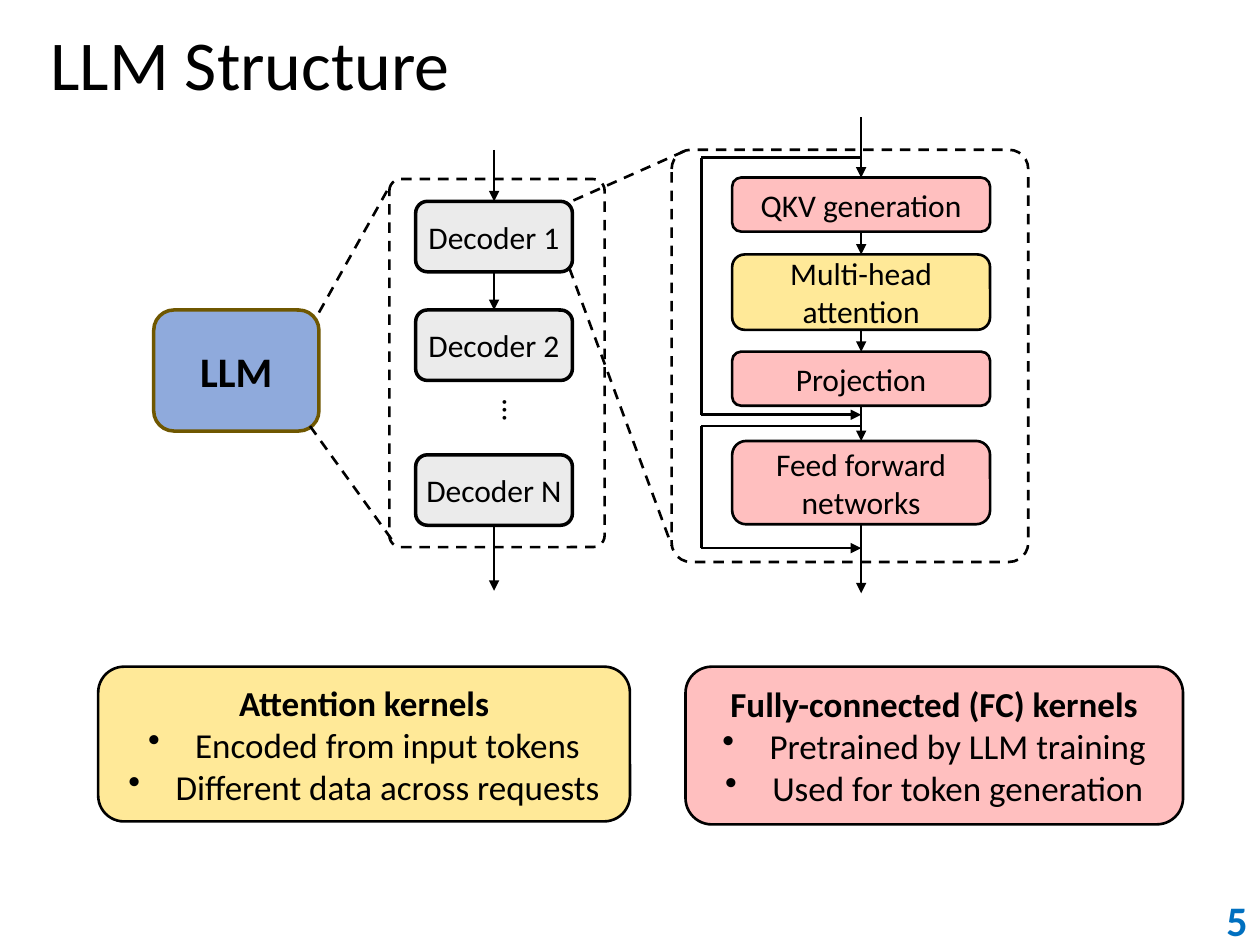
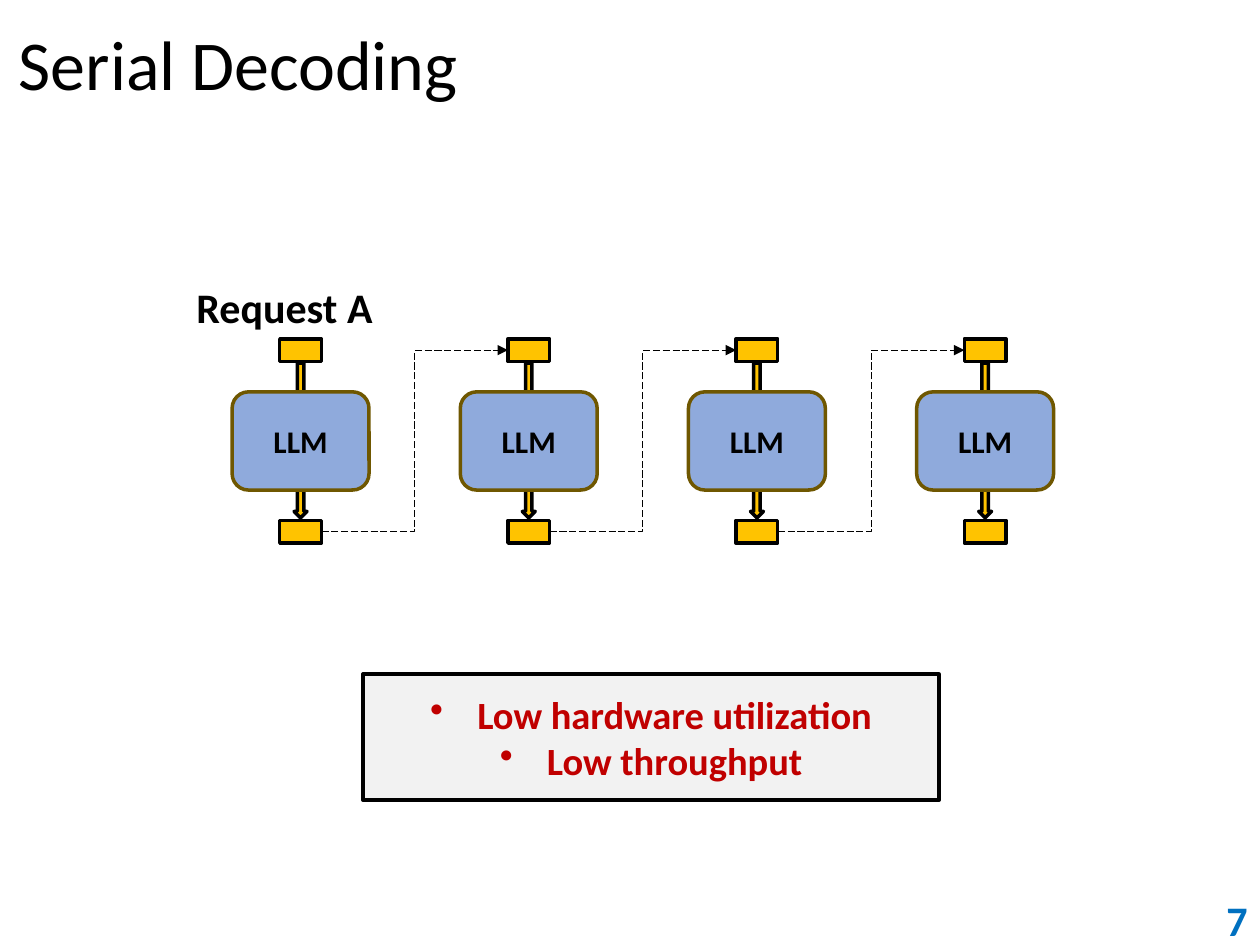
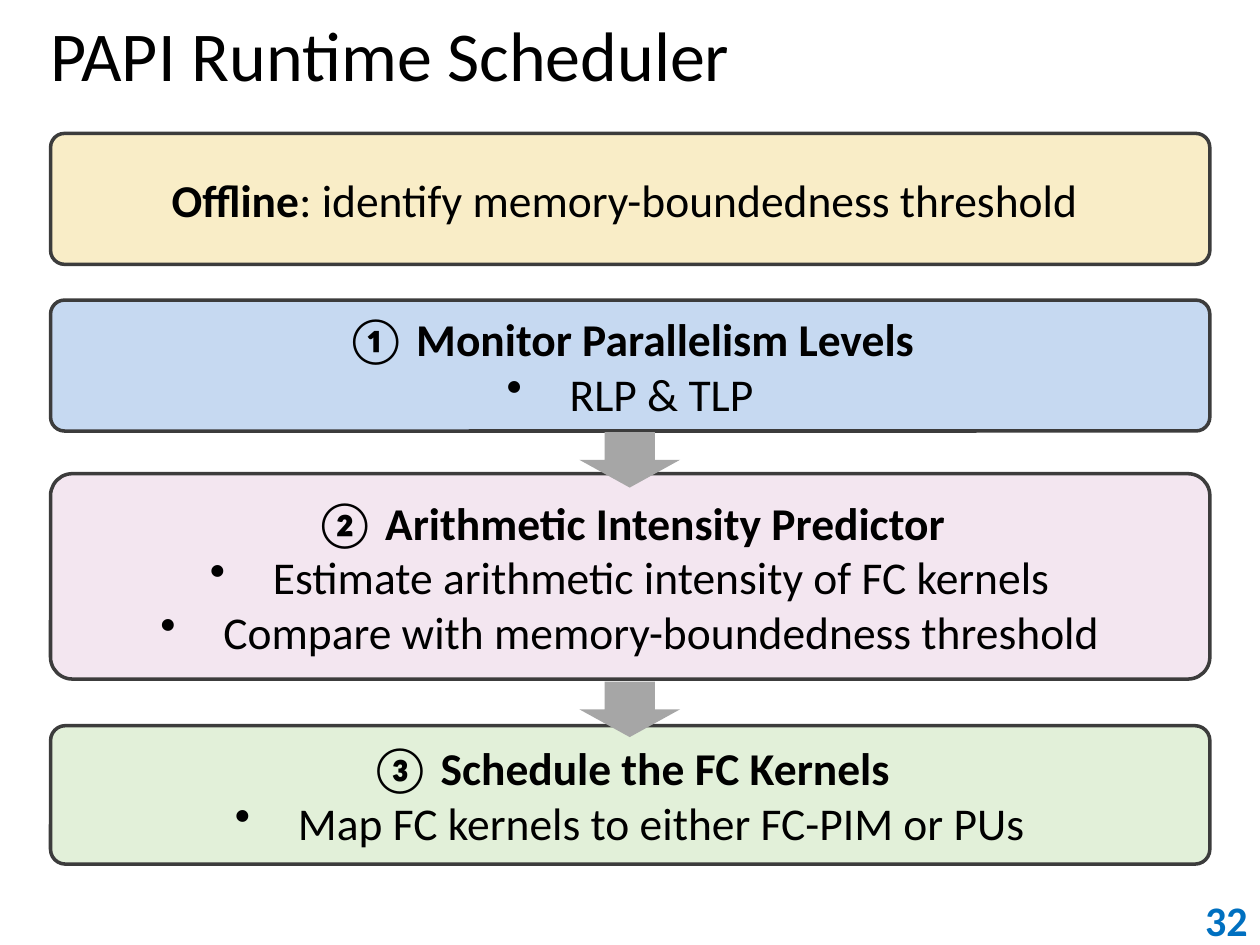
from dataclasses import dataclass
from itertools import pairwise

from lxml.etree import SubElement
from pptx import Presentation
from pptx.dml.color import RGBColor
from pptx.enum.dml import MSO_LINE
from pptx.enum.shapes import MSO_CONNECTOR, MSO_SHAPE
from pptx.enum.text import MSO_ANCHOR, PP_ALIGN
from pptx.oxml.ns import qn
from pptx.shapes.autoshape import Shape
from pptx.util import Cm, Pt


@dataclass(frozen=True)
class Theme:
    font: str = "Calibri"
    ink: str = "000000"
    number: str = "0070C0"
    warning: str = "C00000"
    warning_fill: str = "F2F2F2"
    model: str = "8FAADC"
    model_edge: str = "6F5700"
    attention: str = "FFE998"
    connected: str = "FFBFBF"
    decoder: str = "D9D9D9"
    token: str = "FFC300"
    step_edge: str = "3C3C3C"
    step_arrow: str = "A6A6A6"
    offline: str = "F9EDC7"
    monitor: str = "C6D9F1"
    predictor: str = "F3E6F0"
    schedule: str = "E2F0D9"
    title_size: int = 40
    step_size: int = 26
    label_size: int = 24
    warning_size: int = 22
    kernel_size: int = 20
    block_size: int = 18


THEME = Theme()


@dataclass(frozen=True)
class Line:
    """One paragraph; lead is a bold opening, indent (cm) makes it a bullet."""
    text: str
    bold: bool = False
    indent: float = 0
    lead: str = ""


def bullets(indent, *texts, bold=False):
    return [Line(text, bold, indent) for text in texts]


def write(frame, lines, size, color=THEME.ink, align=PP_ALIGN.CENTER):
    frame.word_wrap = True
    for index, line in enumerate(lines):
        paragraph = frame.add_paragraph() if index else frame.paragraphs[0]
        paragraph.alignment = align
        if line.indent:
            properties = paragraph._p.get_or_add_pPr()
            properties.set("marL", str(Cm(line.indent)))
            properties.set("indent", str(-Cm(line.indent)))
            SubElement(properties, qn("a:buChar")).set("char", "•")
        font = paragraph.font
        font.name, font.size = THEME.font, Pt(size)
        font.color.rgb = RGBColor.from_string(color)
        if line.lead:
            lead = paragraph.add_run()
            lead.text, lead.font.bold = line.lead, True
        else:
            font.bold = line.bold
        paragraph.add_run().text = line.text


def text_box(slide, box, lines, size, color=THEME.ink, align=PP_ALIGN.LEFT,
             anchor=MSO_ANCHOR.TOP):
    frame = slide.shapes.add_textbox(*map(Cm, box)).text_frame
    frame.vertical_anchor = anchor
    write(frame, lines, size, color, align)
    return frame


def stroke(line, color, width, dash=None):
    line.color.rgb = RGBColor.from_string(color)
    line.width = Pt(width)
    if dash:
        line.dash_style = dash


def block(slide, box, fill=None, edge=THEME.ink, width=2, kind=MSO_SHAPE.ROUNDED_RECTANGLE,
          radius=None, dash=None):
    """Draw a preset shape; without fill or edge that part stays empty."""
    shape = slide.shapes.add_shape(kind, *map(Cm, box))
    shape.shadow.inherit = False
    if radius:
        shape.adjustments[0] = radius
    if fill:
        shape.fill.solid()
        shape.fill.fore_color.rgb = RGBColor.from_string(fill)
    else:
        shape.fill.background()
    if edge:
        stroke(shape.line, edge, width, dash)
    else:
        shape.line.fill.background()
    return shape


def labelled(slide, box, lines, size, fill, color=THEME.ink, **style):
    shape = block(slide, box, fill, **style)
    frame = shape.text_frame
    frame.margin_left = frame.margin_right = frame.margin_top = frame.margin_bottom = 0
    write(frame, lines, size, color)
    return shape


def model(slide, box, size):
    return labelled(slide, box, [Line("LLM", True)], size, THEME.model, edge=THEME.model_edge)


def halve_opacity(shape):
    color = shape.element.spPr.find(qn("a:solidFill")).find(qn("a:srgbClr"))
    SubElement(color, qn("a:alpha")).set("val", "50000")


def connect(slide, start, end, width=1.5, arrow=False, dash=None,
            kind=MSO_CONNECTOR.STRAIGHT):
    connector = slide.shapes.add_connector(kind, *map(Cm, (*start, *end)))
    stroke(connector.line, THEME.ink, width, dash)
    properties = connector.element.spPr
    if arrow:
        SubElement(properties.find(qn("a:ln")), qn("a:tailEnd")).set("type", "triangle")
    SubElement(properties, qn("a:effectLst"))
    return connector


def flow(slide, x, stops, width):
    """Draw arrows down through stops, each a shape or a height in cm."""
    for upper, lower in pairwise(stops):
        top, bottom = (stop.top.cm if isinstance(stop, Shape) else stop
                       for stop in (upper, lower))
        arrow = connect(slide, (x, top), (x, bottom), width, arrow=True)
        if isinstance(upper, Shape):
            arrow.begin_connect(upper, 2)
        if isinstance(lower, Shape):
            arrow.end_connect(lower, 0)


def bypass(slide, outer, inner, top, bottom):
    """Draw a residual path that leaves the flow at top and rejoins it at bottom."""
    connect(slide, (inner, top), (outer, top))
    connect(slide, (outer, top), (outer, bottom))
    connect(slide, (outer, bottom), (inner, bottom), arrow=True)


def new_slide(deck, title, number, left=0, top=0, width=25.4):
    slide = deck.slides.add_slide(deck.slide_layouts[6])
    heading = text_box(slide, (left, top, width, 2.54), [Line(title)], THEME.title_size,
                       anchor=MSO_ANCHOR.MIDDLE)
    heading.margin_left = Cm(1.02)
    text_box(slide, (20.32, 18.03, 5.08, 1.02), [Line(str(number), True)], THEME.label_size,
             THEME.number, PP_ALIGN.RIGHT, MSO_ANCHOR.MIDDLE)
    return slide


def structure_slide(deck):
    slide = new_slide(deck, "LLM Structure", 5)
    model(slide, (3.1, 6.25, 3.33, 2.44), THEME.label_size)

    kernel_x = 17.36
    kernels = [
        labelled(slide, (14.76, top, 5.2, height), [Line(text) for text in texts],
                 THEME.block_size, fill, width=1.5)
        for top, height, fill, texts in [
            (3.58, 1.09, THEME.connected, ["QKV generation"]),
            (5.13, 1.52, THEME.attention, ["Multi-head attention"]),
            (7.09, 1.09, THEME.connected, ["Projection"]),
            (8.89, 1.68, THEME.connected, ["Feed forward", "networks"]),
        ]
    ]
    flow(slide, kernel_x, [2.36, *kernels, 11.96], 1.5)
    for top, bottom in [(3.18, 8.36), (8.59, 11.05)]:
        bypass(slide, 14.14, kernel_x, top, bottom)

    for frame in [(13.54, 3.02, 7.19, 8.31), (7.85, 3.61, 4.34, 7.42)]:
        block(slide, frame, width=1.5, radius=0.054, dash=MSO_LINE.DASH)

    decoder_x = 9.96
    decoders = []
    for name, top in [("1", 4.06), ("2", 6.25), ("N", 9.17)]:
        decoder = labelled(slide, (8.38, top, 3.16, 1.42), [Line(f"Decoder {name}")],
                           THEME.block_size, THEME.decoder)
        halve_opacity(decoder)
        decoders.append(decoder)
    first, second, last = decoders
    flow(slide, decoder_x, [3.02, first, second], 0.75)
    flow(slide, decoder_x, [last, 11.91], 0.75)
    ellipsis = text_box(slide, (9.63, 7.8, 1.27, 1.42), [Line("…")], THEME.block_size,
                        align=PP_ALIGN.CENTER)
    ellipsis._txBody.bodyPr.set("vert", "eaVert")

    for start, end in [((11.56, 4.04), (13.79, 3.05)), ((11.48, 5.41), (13.54, 11.0)),
                       ((6.43, 6.3), (7.85, 3.76)), ((6.25, 8.59), (7.95, 10.95))]:
        connect(slide, start, end, dash=MSO_LINE.DASH)

    for box, fill, name, facts in [
        ((13.82, 13.44, 10.03, 3.18), THEME.connected, "Fully-connected (FC) kernels",
         ["Pretrained by LLM training", "Used for token generation"]),
        ((1.98, 13.44, 10.72, 3.12), THEME.attention, "Attention kernels",
         ["Encoded from input tokens", "Different data across requests"]),
    ]:
        labelled(slide, box, [Line(name, True), *bullets(0.95, *facts)],
                 THEME.kernel_size, fill, width=1.5)


def decoding_stage(slide, center):
    """Draw one model pass and return its input and output tokens."""
    block(slide, (center - 0.13, 7.32, 0.26, 3.12), THEME.token, kind=MSO_SHAPE.DOWN_ARROW)
    model(slide, (center - 1.38, 7.9, 2.76, 1.98), THEME.block_size)
    return [block(slide, (center - 0.42, top, 0.84, 0.46), THEME.token,
                  kind=MSO_SHAPE.RECTANGLE) for top in (6.83, 10.49)]


def decoding_slide(deck):
    slide = new_slide(deck, "Serial Decoding", 7, left=-0.64, width=27.5)
    stages = [decoding_stage(slide, 6.06 + 4.6 * index) for index in range(4)]
    for (_, produced), (consumed, _) in pairwise(stages):
        feedback = connect(slide, (produced.left.cm, produced.top.cm),
                           (consumed.left.cm, consumed.top.cm), 0.5, arrow=True,
                           dash=MSO_LINE.LONG_DASH, kind=MSO_CONNECTOR.ELBOW)
        feedback.begin_connect(produced, 3)
        feedback.end_connect(consumed, 1)
    text_box(slide, (3.71, 5.56, 4.67, 1.27), [Line("Request A", True)], THEME.label_size)
    labelled(slide, (7.32, 13.59, 11.61, 2.54),
             bullets(0.95, "Low hardware utilization", "Low throughput", bold=True),
             THEME.warning_size, THEME.warning_fill, THEME.warning, kind=MSO_SHAPE.RECTANGLE)


def scheduler_slide(deck):
    slide = new_slide(deck, "PAPI Runtime Scheduler", 32, top=-0.2)
    for top, height, fill, heading, facts in [
        (2.69, 2.64, THEME.offline,
         Line(": identify memory-boundedness threshold ", lead="Offline"), []),
        (6.05, 2.64, THEME.monitor, Line("① Monitor Parallelism Levels", True),
         ["RLP & TLP"]),
        (9.55, 4.14, THEME.predictor, Line("② Arithmetic Intensity Predictor", True),
         ["Estimate arithmetic intensity of FC kernels",
          "Compare with memory-boundedness threshold"]),
        (14.63, 2.79, THEME.schedule, Line("③ Schedule the FC Kernels", True),
         ["Map FC kernels to either FC-PIM or PUs"]),
    ]:
        labelled(slide, (1.02, top, 23.37, height), [heading, *bullets(1.27, *facts)],
                 THEME.step_size, fill, edge=THEME.step_edge, radius=0.107)
    for top in (8.71, 13.74):
        block(slide, (11.68, top, 2.03, 1.12), THEME.step_arrow, edge=None,
              kind=MSO_SHAPE.DOWN_ARROW)


def main():
    deck = Presentation()
    deck.slide_width, deck.slide_height = Cm(25.4), Cm(19.05)
    structure_slide(deck)
    decoding_slide(deck)
    scheduler_slide(deck)
    deck.save("out.pptx")


if __name__ == "__main__":
    main()
